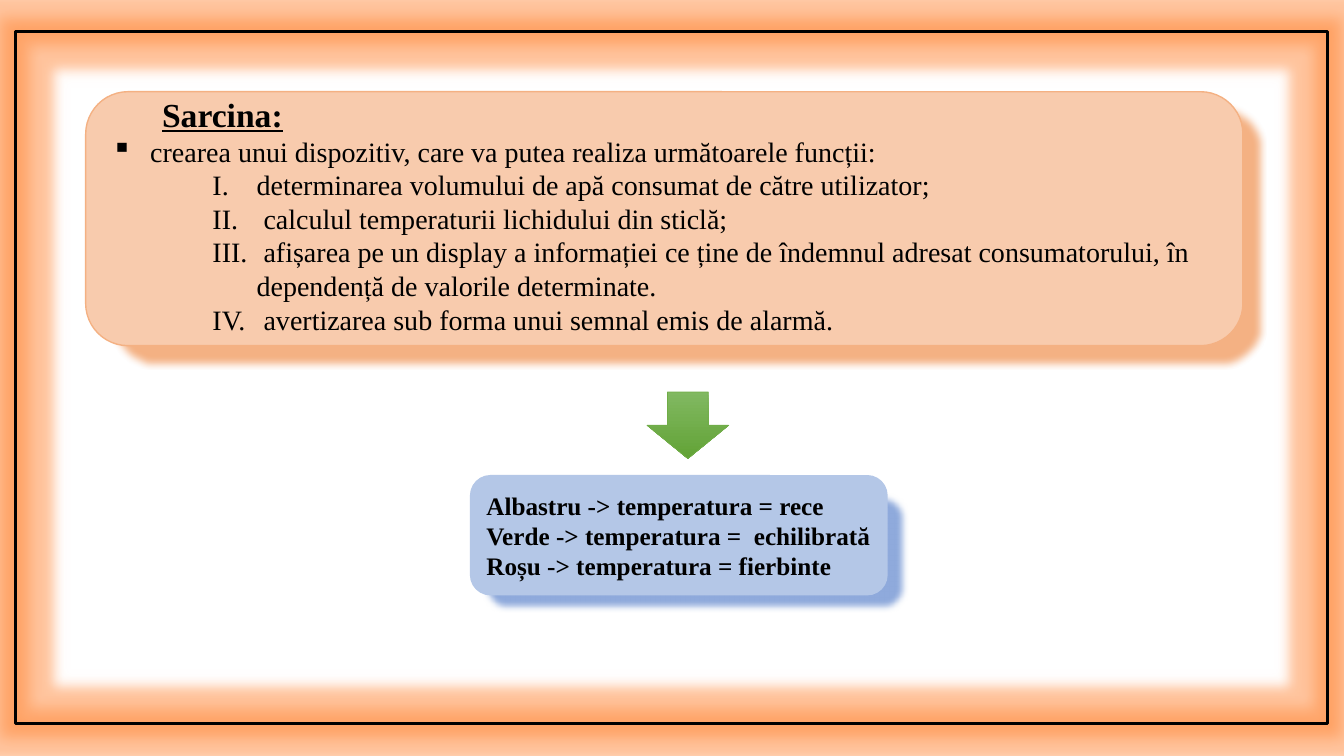
"""Builds the task slide: device functions leading to the colour code of temperatures."""
from lxml import etree
from pptx import Presentation
from pptx import util as u
from pptx.dml import color
from pptx.enum import shapes, text
from pptx.oxml import ns

FONT = "Times New Roman"
TITLE = "Sarcina:"
GOAL = " crearea unui dispozitiv, care va putea realiza următoarele funcții:"
FUNCTIONS = [
    "determinarea volumului de apă consumat de către utilizator;",
    " calculul temperaturii lichidului din sticlă;",
    " afișarea pe un display a informației ce ține de îndemnul adresat consumatorului, "
    "în dependență de valorile determinate.",
    " avertizarea sub forma unui semnal emis de alarmă.",
]
COLOUR_CODE = [
    "Albastru -> temperatura = rece",
    "Verde -> temperatura =  echilibrată",
    "Roșu -> temperatura = fierbinte",
]
ARROW_STOPS = [("81B861", 0), ("62A336", 1)]
FRAME = (10.8, 22.3, 937.4, 494.6)
TASK_SHADE = (77.8, 72.7, 826.6, 190.8)
TASK_PANEL = (61.2, 65.5, 826.6, 181.4)
TASK_TEXT = (72.7, 63.4, 871.2, 181.4)
CODE_SHADE = (344.2, 352.1, 304.6, 85)
CODE_PANEL = (336.2, 339.8, 297.4, 85)
ARROW = (462.2, 280.1, 58.3, 47.5)


def rgb(value):
    return color.RGBColor.from_string(value)


def child(parent, tag, **attrs):
    return etree.SubElement(parent, ns.qn("a:" + tag), attrs)


def add_shape(s, kind, box, fill, line, width=1):
    sp = s.shapes.add_shape(kind, *map(u.Pt, box))
    sp.shadow.inherit = False
    if fill:
        sp.fill.solid()
        sp.fill.fore_color.rgb = rgb(fill)
    else:
        sp.fill.background()
    sp.line.color.rgb = rgb(line)
    sp.line.width = u.Pt(width)
    return sp


def add_effect(sp, tag, colour=None, alpha=0, **attrs):
    effects = sp._element.spPr.find(ns.qn("a:effectLst"))
    effect = child(effects, tag, **attrs)
    if colour:
        child(child(effect, "srgbClr", val=colour), "alpha", val=str(alpha * 1000))


def add_run(p, words, size, bold=False, underline=False):
    r = p.add_run()
    r.text = words
    r.font.name = FONT
    r.font.size = u.Pt(size)
    r.font.bold = bold
    r.font.underline = underline
    r.font.color.rgb = rgb("000000")


def add_bullet(p, margin, hanging, tag, **attrs):
    pPr = p._p.get_or_add_pPr()
    pPr.set("marL", str(u.Pt(margin)))
    pPr.set("indent", str(-u.Pt(hanging)))
    child(pPr, tag, **attrs)


def add_task(s):
    tf = s.shapes.add_textbox(*map(u.Pt, TASK_TEXT)).text_frame
    tf.word_wrap = True
    tf.auto_size = text.MSO_AUTO_SIZE.SHAPE_TO_FIT_TEXT
    p = tf.paragraphs[0]
    add_run(p, "\t", 18)
    add_run(p, TITLE, 24, bold=True, underline=True)
    p = tf.add_paragraph()
    add_bullet(p, 22.5, 22.5, "buChar", char="▪")
    add_run(p, GOAL, 20)
    for function in FUNCTIONS:
        p = tf.add_paragraph()
        p.level = 1
        add_bullet(p, 103.5, 31.5, "buAutoNum", type="romanUcPeriod")
        add_run(p, function, 20)


def add_colour_code(sp):
    tf = sp.text_frame
    tf.word_wrap = True
    tf.margin_right = u.Pt(4)
    tf.vertical_anchor = text.MSO_ANCHOR.MIDDLE
    for i, words in enumerate(COLOUR_CODE):
        p = tf.add_paragraph() if i else tf.paragraphs[0]
        p.alignment = text.PP_ALIGN.JUSTIFY
        add_run(p, words, 18, bold=True)


def main():
    prs = Presentation()
    prs.slide_width, prs.slide_height = u.Pt(960), u.Pt(540)
    s = prs.slides.add_slide(prs.slide_layouts[6])
    kinds = shapes.MSO_SHAPE

    frame = add_shape(s, kinds.RECTANGLE, FRAME, None, "000000", 2.25)
    add_effect(frame, "glow", "FF8A3C", 45, rad=str(u.Pt(18)))
    add_effect(frame, "outerShdw", "FF8A3C", 60, blurRad=str(u.Pt(8)), dist="0")

    for box, fill in ((TASK_SHADE, "F4B183"), (CODE_SHADE, "8FAADC")):
        shade = add_shape(s, kinds.ROUNDED_RECTANGLE, box, fill, fill)
        add_effect(shade, "softEdge", rad=str(u.Pt(5)))

    add_shape(s, kinds.ROUNDED_RECTANGLE, TASK_PANEL, "F8CBAD", "F4B183")
    add_task(s)
    add_colour_code(add_shape(s, kinds.ROUNDED_RECTANGLE, CODE_PANEL, "B4C7E7", "B4C7E7"))

    arrow = add_shape(s, kinds.DOWN_ARROW, ARROW, None, "70AD47", 0.5)
    arrow.fill.gradient()
    arrow.fill.gradient_angle = 270
    for stop, (colour, position) in zip(arrow.fill.gradient_stops, ARROW_STOPS):
        stop.color.rgb = rgb(colour)
        stop.position = position

    prs.save("out.pptx")


if __name__ == "__main__":
    main()
